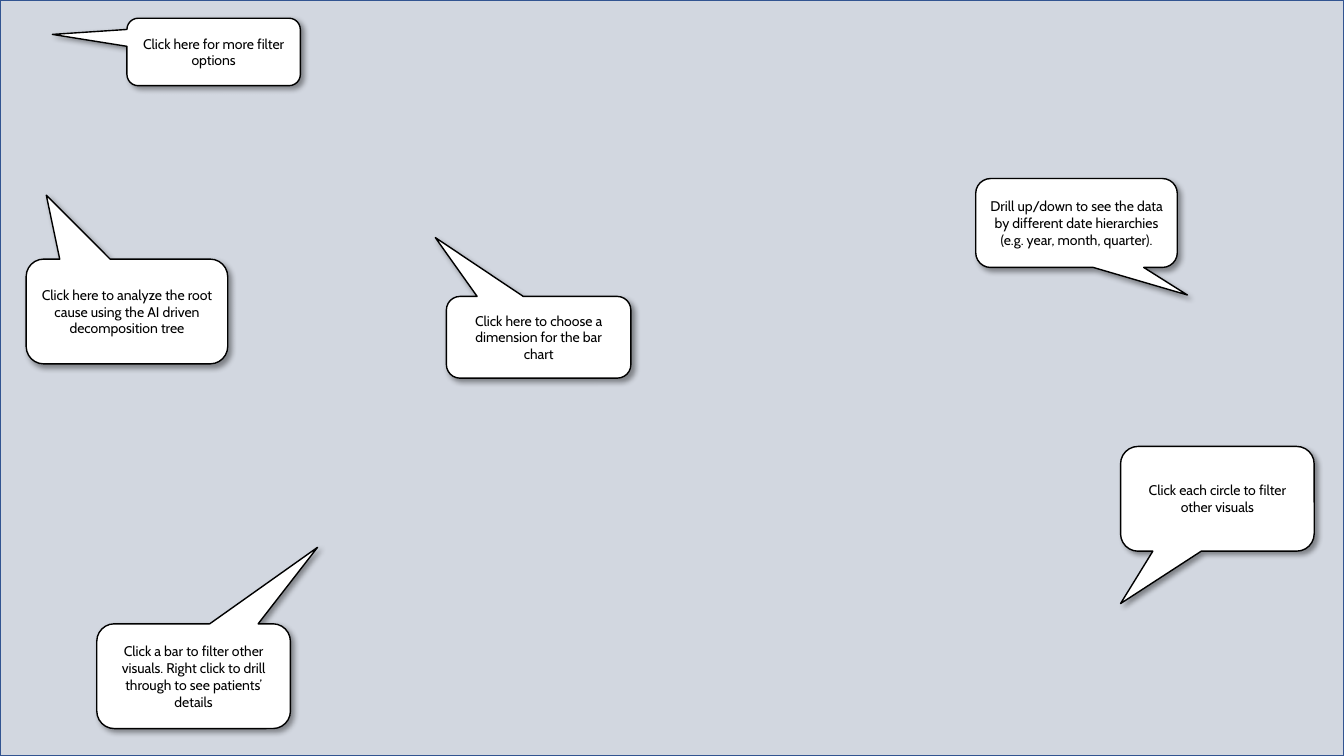
import pptx
import pptx.util
import pptx.dml.color
import pptx.enum.shapes
import pptx.enum.text
import pptx.oxml
import pptx.oxml.ns

NAVY = pptx.dml.color.RGBColor(0x20, 0x38, 0x64)
BLUE = pptx.dml.color.RGBColor(0x32, 0x54, 0x91)
WHITE = pptx.dml.color.RGBColor(0xFF, 0xFF, 0xFF)
BLACK = pptx.dml.color.RGBColor(0x00, 0x00, 0x00)

A_NS = pptx.oxml.ns.nsdecls("a")
SHADOW = (
    f'<a:outerShdw {A_NS} blurRad="50800" dist="38100" dir="2700000" '
    'algn="tl" rotWithShape="0"><a:srgbClr val="000000">'
    '<a:alpha val="40000"/></a:srgbClr></a:outerShdw>'
)


def add_box(kind, left, top, width, height, fill, line):
    bounds = [pptx.util.Cm(length) for length in (left, top, width, height)]
    box = slide.shapes.add_shape(kind, *bounds)
    box.shadow.inherit = False
    box.fill.solid()
    box.fill.fore_color.rgb = fill
    box.line.color.rgb = line
    box.line.width = pptx.util.Pt(1)
    return box


presentation = pptx.Presentation()
presentation.slide_width = pptx.util.Cm(33.87)
presentation.slide_height = pptx.util.Cm(19.05)
slide = presentation.slides.add_slide(presentation.slide_layouts[6])

# Translucent overlay across the slide
overlay = add_box(pptx.enum.shapes.MSO_SHAPE.RECTANGLE,
                  0, 0, 33.87, 19.05, NAVY, BLUE)
overlay_fill = overlay._element.spPr.find(pptx.oxml.ns.qn("a:solidFill"))
overlay_color = overlay_fill.find(pptx.oxml.ns.qn("a:srgbClr"))
overlay_color.append(pptx.oxml.parse_xml(f'<a:alpha {A_NS} val="20000"/>'))

# Hints: left, top, width, height in cm, pointer offset as a share of the size
hints = [
    (3.2, 0.46, 4.37, 1.7, -0.93, -0.26,
     "Click here for more filter options"),
    (0.66, 6.53, 5.08, 2.64, -0.4, -1.11,
     "Click here to analyze the root cause using the AI driven decomposition tree"),
    (11.25, 7.47, 4.65, 2.06, -0.56, -1.22,
     "Click here to choose a dimension for the bar chart"),
    (2.44, 15.72, 4.88, 2.64, 0.64, -1.23,
     "Click a bar to filter other visuals. Right click to drill through "
     "to see patients\u2019 details"),
    (28.24, 11.25, 4.88, 2.64, -0.5, 1,
     "Click each circle to filter other visuals"),
    (24.59, 4.5, 5.08, 2.24, 0.55, 0.81,
     "Drill up/down to see the data by different date hierarchies "
     "(e.g. year, month, quarter)."),
]

# Callouts
for left, top, width, height, pointer_x, pointer_y, hint in hints:
    callout = add_box(pptx.enum.shapes.MSO_SHAPE.ROUNDED_RECTANGULAR_CALLOUT,
                      left, top, width, height, WHITE, BLACK)
    callout.adjustments[0] = pointer_x
    callout.adjustments[1] = pointer_y
    effects = callout._element.spPr.find(pptx.oxml.ns.qn("a:effectLst"))
    effects.append(pptx.oxml.parse_xml(SHADOW))

    frame = callout.text_frame
    frame.word_wrap = True
    frame.vertical_anchor = pptx.enum.text.MSO_ANCHOR.MIDDLE
    paragraph = frame.paragraphs[0]
    paragraph.alignment = pptx.enum.text.PP_ALIGN.CENTER
    run = paragraph.add_run()
    run.text = hint
    run.font.name = "Cabin"
    run.font.size = pptx.util.Pt(10)
    run.font.color.rgb = BLACK

presentation.save("out.pptx")
